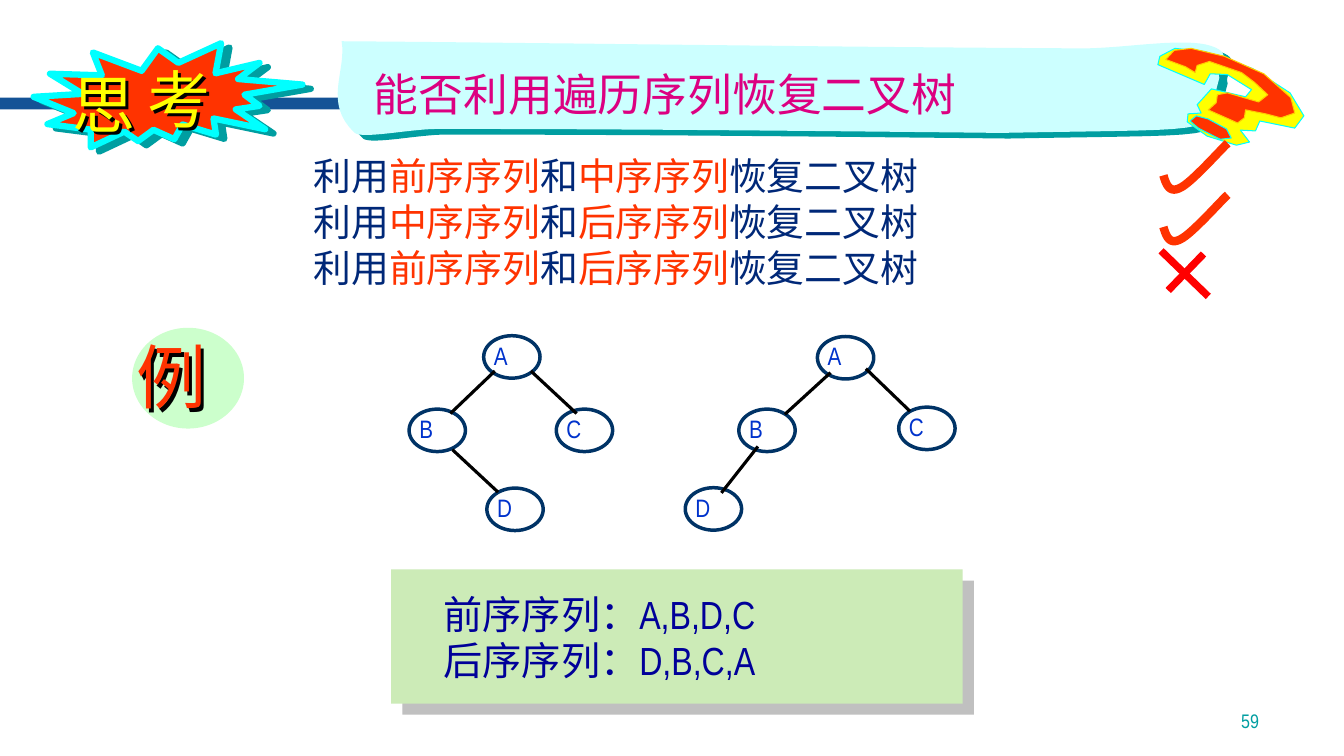
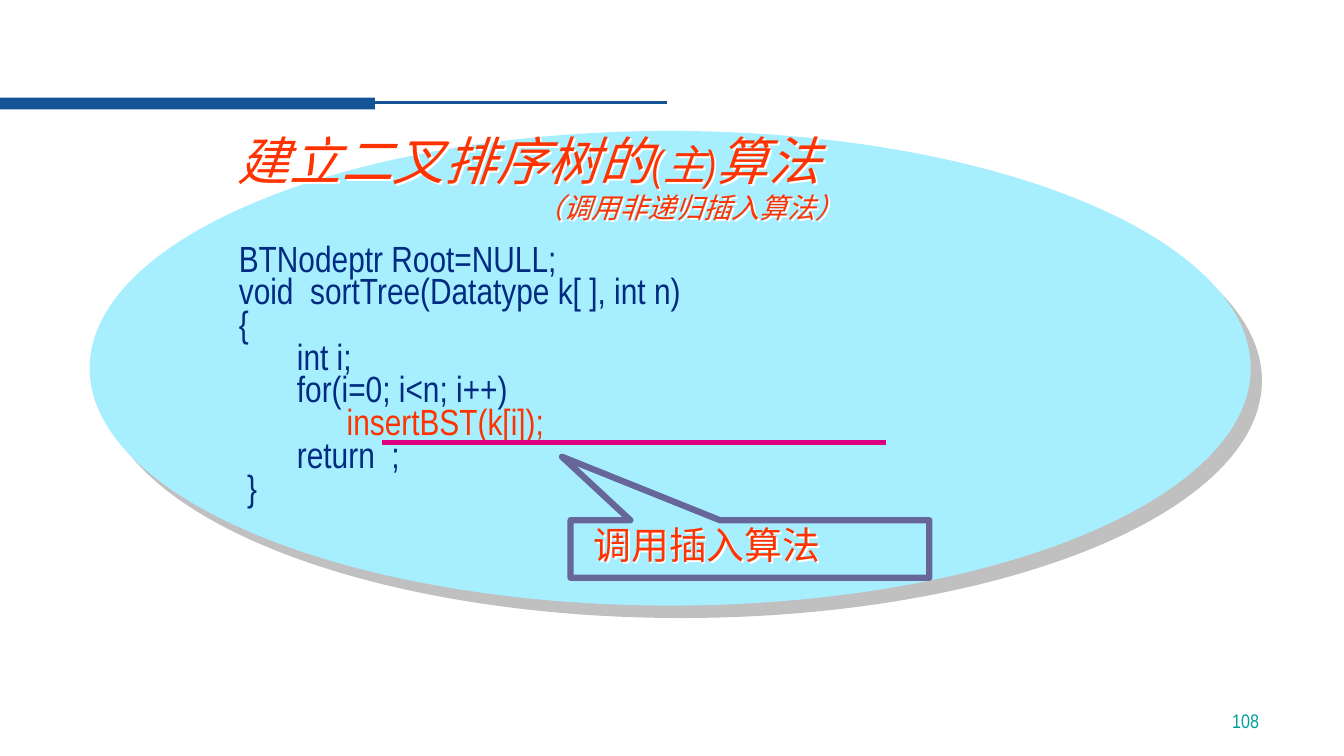
from math import cos, radians, sin

from lxml import etree
from pptx import Presentation
from pptx.dml.color import RGBColor
from pptx.enum.shapes import MSO_CONNECTOR, MSO_SHAPE as SHAPE
from pptx.enum.text import MSO_ANCHOR as ANCHOR, PP_ALIGN as ALIGN
from pptx.oxml.ns import qn
from pptx.util import Cm, Pt

FONT = "Arial Narrow"
BAND, TEAL, AQUA, GREY = "145396", "009EA1", "00FFFF", "C0C0C0"
RED, NAVY, PINK, YELLOW = "FF3300", "002878", "DC0081", "FFFF00"
CODE_BLUE, WHITE, BLACK = "002B80", "FFFFFF", "000000"

BANNER_CURVES = [
    [(0.61, 0.83), (0, 1.62), (0.81, 2.38)],
    [(1.01, 2.54), (2.21, 2.28), (2.89, 2.28)],
    [(7.62, 2.28), (12.34, 2.33), (17.07, 2.38)],
    [(23.32, 2.26), (22.15, 2.48), (22.6, 0.99)],
    [(22.48, 0.71), (23.11, 0.35), (22.25, 0.15)],
    [(21.49, 0), (20.17, 0.25), (19.15, 0.25)],
    [(12.93, 0.22), (6.7, 0.12), (0.48, 0.07)],
]
TICK_CURVES = [
    [(0.1, 1.04), (0.18, 1.27), (0.46, 1.12)],
    [(0.74, 0.99), (1.45, 0.18), (1.65, 0)],
]
QUESTION_RIM = [
    (1.32, 0.64), (1.75, 0.66), (2.36, 1.04), (2.21, 1.22), (1.35, 1.02),
    (0.99, 1.42), (1.09, 1.63), (0.76, 1.65), (0.74, 1.85), (1.24, 2.21),
    (1.98, 2.44), (2.31, 2.36), (2.08, 2.06), (2.46, 2.08), (2.57, 1.83),
    (3.45, 2.01), (3.68, 1.7), (3.33, 1.12), (2.39, 0.51), (1.19, 0.08),
    (0.43, 0), (0.05, 0.2), (0, 0.41), (1.17, 0.91),
]
QUESTION_HOOK = [
    (0.2, 0.28), (0.69, 0.46), (0.94, 0.61), (0.99, 0.43), (1.3, 0.33),
    (2.11, 0.61), (2.44, 0.86), (2.77, 1.17), (2.54, 1.35), (1.75, 1.12),
    (1.5, 1.17), (1.47, 1.37), (1.27, 1.55), (2.01, 1.88), (2.18, 1.75),
    (2.21, 1.55), (2.72, 1.65), (3.1, 1.75), (3.45, 1.63), (3.35, 1.24),
    (2.67, 0.64), (1.68, 0.2), (0.84, 0), (0.41, 0.05),
]
QUESTION_DOT = [
    (1.27, 1.78), (0.97, 1.7), (0.81, 1.83), (1.02, 2.01), (1.57, 2.29),
    (1.85, 2.26), (1.73, 2.03),
]
LEFT_NODES = {"A": (1.88, 0), "B": (0, 1.85), "C": (3.71, 1.85), "D": (1.96, 3.84)}
LEFT_EDGES = [(2.16, 0.89, 1.04, 1.96), (3.07, 0.89, 4.22, 1.96),
              (1.09, 2.87, 2.24, 3.94)]
RIGHT_NODES = {"A": (3.33, 0), "B": (1.35, 1.83), "C": (5.38, 1.78), "D": (0, 3.81)}
RIGHT_EDGES = [(4.55, 0.81, 5.66, 1.88), (3.66, 0.91, 2.51, 1.96),
               (1.83, 2.77, 0.91, 3.94)]
CODE = [
    "BTNodeptr Root=NULL;",
    "void  sortTree(Datatype k[ ], int n)",
    "{",
    "       int i;",
    "       for(i=0; i<n; i++)",
    "             insertBST(k[i]);",
    "       return  ;",
    " }",
]


def rgb(value):
    return RGBColor.from_string(value)


def add_shadow(sp, color, dist, angle):
    """Give a shape a hard shadow; dist in points, angle in degrees."""
    effects = sp._element.spPr.find(qn("a:effectLst"))
    shadow = etree.SubElement(effects, qn("a:outerShdw"), blurRad="0",
                              dist=str(Pt(dist)), dir=str(angle * 60000),
                              algn="ctr", rotWithShape="0")
    etree.SubElement(shadow, qn("a:srgbClr"), val=color)


def paint(sp, fill=None, line=None, shadow=None):
    """Set fill colour, line (colour, points) and shadow of a shape."""
    sp.shadow.inherit = False
    if fill:
        sp.fill.solid()
        sp.fill.fore_color.rgb = rgb(fill)
    else:
        sp.fill.background()
    if line:
        sp.line.color.rgb = rgb(line[0])
        sp.line.width = Pt(line[1])
    else:
        sp.line.fill.background()
    if shadow:
        add_shadow(sp, *shadow)
    return sp


def add_shape(s, kind, x, y, w, h, **look):
    return paint(s.shapes.add_shape(kind, Cm(x), Cm(y), Cm(w), Cm(h)), **look)


def add_outline(s, x, y, points, close=True, **look):
    (x0, y0), *rest = [(Cm(x + dx), Cm(y + dy)) for dx, dy in points]
    fb = s.shapes.build_freeform(x0, y0)
    fb.add_line_segments(rest, close=close)
    return paint(fb.convert_to_shape(), **look)


def bezier(start, curves, steps=16):
    """Points along a chain of cubic curves."""
    points = [start]
    for c1, c2, end in curves:
        chain = (points[-1], c1, c2, end)
        for i in range(1, steps + 1):
            t = i / steps
            weights = ((1 - t) ** 3, 3 * t * (1 - t) ** 2, 3 * t * t * (1 - t), t ** 3)
            points.append(tuple(sum(k * p[axis] for k, p in zip(weights, chain))
                                for axis in (0, 1)))
    return points


def add_line(s, x1, y1, x2, y2, color, width):
    ln = s.shapes.add_connector(MSO_CONNECTOR.STRAIGHT, Cm(x1), Cm(y1), Cm(x2), Cm(y2))
    ln.line.color.rgb = rgb(color)
    ln.line.width = Pt(width)
    etree.SubElement(ln._element.spPr, qn("a:effectLst"))


def add_run(p, text, size, color, italic=False):
    r = p.add_run()
    r.text = text
    for name, value in {"name": FONT, "size": Pt(size), "italic": italic}.items():
        setattr(r.font, name, value)
    r.font.color.rgb = rgb(color)
    latin = r._r.rPr.find(qn("a:latin"))
    east_asian = etree.Element(qn("a:ea"), typeface=FONT)
    latin.addnext(east_asian)


def add_text(s, x, y, w, h, paragraphs, anchor=ANCHOR.TOP, shadow=None, **layout):
    """Place paragraphs, each a list of (text, size, color[, italic]) runs."""
    box = s.shapes.add_textbox(Cm(x), Cm(y), Cm(w), Cm(h))
    if shadow:
        paint(box, shadow=shadow)
    tf = box.text_frame
    tf.word_wrap = True
    tf.vertical_anchor = anchor
    for i, runs in enumerate(paragraphs):
        p = tf.add_paragraph() if i else tf.paragraphs[0]
        for name, value in layout.items():
            setattr(p, name, value)
        for run in runs:
            add_run(p, *run)
    return tf


def new_slide(prs, number):
    """Blank slide with the shared rule and page number."""
    s = prs.slides.add_slide(prs.slide_layouts[6])
    add_shape(s, SHAPE.RECTANGLE, 0, 2.46, 9.45, 0.3, fill=BAND)
    add_line(s, 9.35, 2.59, 16.81, 2.59, BAND, 2.25)
    add_text(s, 24.92, 17.3, 7.06, 1.27, [[(number, 14, TEAL)]],
             anchor=ANCHOR.BOTTOM, alignment=ALIGN.RIGHT)
    return s


def banner(s, x, y, title):
    add_outline(s, x, y, bezier((0.48, 0.07), BANNER_CURVES), fill="CCFFFF",
                shadow=(TEAL, 7.2, 34))
    add_text(s, x + 1.04, y + 0.58, 20.6, 1.6, [[(title, 32, PINK)]])


def question_mark(s, x, y):
    add_outline(s, x, y, QUESTION_RIM, fill=YELLOW, line=(AQUA, 0.75))
    add_outline(s, x, y, QUESTION_HOOK, fill=RED, line=("FFCC00", 0.75))
    add_outline(s, x, y, QUESTION_DOT, fill=RED, line=(AQUA, 0.75))


def tick(s, x, y):
    add_outline(s, x, y, bezier((0.03, 0.81), TICK_CURVES), close=False, line=(RED, 6))


def cross(s, x, y):
    for x1, y1, x2, y2 in ((0, 0, 1.19, 1.15), (0.18, 1, 1.07, 0.08)):
        add_line(s, x + x1, y + y1, x + x2, y + y2, "FF0000", 5.25)


def claims(s, x, y, pairs):
    """One line for each pair of traversal orders."""
    for i, (first, second) in enumerate(pairs):
        runs = [("利用", 27, NAVY), (first, 27, RED), ("和", 27, NAVY),
                (second, 27, RED), ("恢复二叉树", 27, NAVY)]
        add_text(s, x, y + 1.16 * i, 23, 1.4, [runs])


def tree(s, x, y, nodes, edges):
    for label, (dx, dy) in nodes.items():
        sp = add_shape(s, SHAPE.OVAL, x + dx, y + dy, 1.42, 1.07, line=("003366", 2.5))
        tf = sp.text_frame
        margins = {"margin_left": 0.05, "margin_right": 0, "margin_top": 0,
                   "margin_bottom": 0.1}
        for name, value in margins.items():
            setattr(tf, name, Cm(value))
        tf.vertical_anchor = ANCHOR.MIDDLE
        p = tf.paragraphs[0]
        p.alignment = ALIGN.LEFT
        add_run(p, label, 18, "0033CC")
    for x1, y1, x2, y2 in edges:
        add_line(s, x + x1, y + y1, x + x2, y + y2, BLACK, 2.25)


def example_badge(s, x, y):
    add_shape(s, SHAPE.OVAL, x, y, 2.82, 2.54, fill="CCFFCC")
    add_text(s, x - 0.15, y + 0.02, 2.6, 2.39, [[("例", 50, RED)]], shadow=(BLACK, 4, 45))


def sequence_panel(s, x, y, lines):
    add_shape(s, SHAPE.RECTANGLE, x, y, 14.4, 3.38, fill="CCEBB7", shadow=(GREY, 11.3, 45))
    for i, line in enumerate(lines):
        add_text(s, x + 1.07, y + 0.41 + 1.14 * i, 13, 1.45, [[(line, 28, "000099")]])


def think_burst(s, x, y):
    sp = add_shape(s, SHAPE.EXPLOSION2, x, y, 6.73, 2.87, fill=RED, line=(AQUA, 4.5),
                   shadow=(TEAL, 6.7, 27))
    sp.rotation = 4.4
    for dx, dy, char in ((0.71, 0.53, "思"), (2.62, 0.41, "考")):
        add_text(s, x + dx, y + dy, 2.2, 2.16, [[(char, 45, YELLOW)]],
                 shadow=(BLACK, 3, 45))


def code_oval(s, x, y):
    add_shape(s, SHAPE.OVAL, x, y, 29.26, 11.96, fill="A7EEFF", shadow=(GREY, 12, 48))
    lines = [[(line, 26, RED if "insertBST" in line else CODE_BLUE)] for line in CODE]
    add_text(s, x + 3.51, y + 2.77, 25.43, 6.93, lines, line_spacing=0.75)


def algorithm_title(s, x, y):
    title = [("建立二叉排序树的", 37, RED, True), ("(主)", 30, RED, True),
             ("算法", 37, RED, True)]
    subtitle = [("（调用非递归插入算法）", 20, RED, True)]
    tf = add_text(s, x, y, 23.29, 2.69, [title, subtitle], shadow=(WHITE, 2, 45))
    tf.paragraphs[1].alignment = ALIGN.CENTER


def insert_callout(s, x, y):
    """Callout with the underline of the code it points at."""
    sp = add_shape(s, SHAPE.RECTANGULAR_CALLOUT, x, y, 9.04, 1.45, line=("666699", 4.5))
    sp.adjustments[0], sp.adjustments[1] = -0.524, -1.603
    add_text(s, x + 0.33, y - 0.08, 9.96, 1.4, [[("调用插入算法", 27, RED)]],
             shadow=(WHITE, 1.5, 45))
    add_line(s, x - 4.75, y - 1.96, x + 7.95, y - 1.96, PINK, 4)


def restore_slide(prs):
    s = new_slide(prs, "59")
    pre, mid, post = "前序序列", "中序序列", "后序序列"
    claims(s, 7.65, 3.73, [(pre, mid), (mid, post), (pre, post)])
    banner(s, 8.13, 0.97, "能否利用遍历序列恢复二叉树")
    question_mark(s, 29.18, 1.22)
    for y in (3.61, 4.91):
        tick(s, 29.29, y)
    cross(s, 29.26, 6.32)
    tree(s, 10.31, 8.46, LEFT_NODES, LEFT_EDGES)
    tree(s, 17.27, 8.48, RIGHT_NODES, RIGHT_EDGES)
    example_badge(s, 3.33, 8.26)
    sequence_panel(s, 9.86, 14.35, ["前序序列：A,B,D,C", "后序序列：D,B,C,A"])
    think_burst(s, 0.86, 0.99)


def sort_tree_slide(prs):
    s = new_slide(prs, "108")
    code_oval(s, 2.26, 3.3)
    algorithm_title(s, 5.74, 3.12)
    insert_callout(s, 14.38, 13.11)


def main():
    prs = Presentation()
    prs.slide_width, prs.slide_height = Cm(33.87), Cm(19.05)
    restore_slide(prs)
    sort_tree_slide(prs)
    prs.save("out.pptx")


if __name__ == "__main__":
    main()
